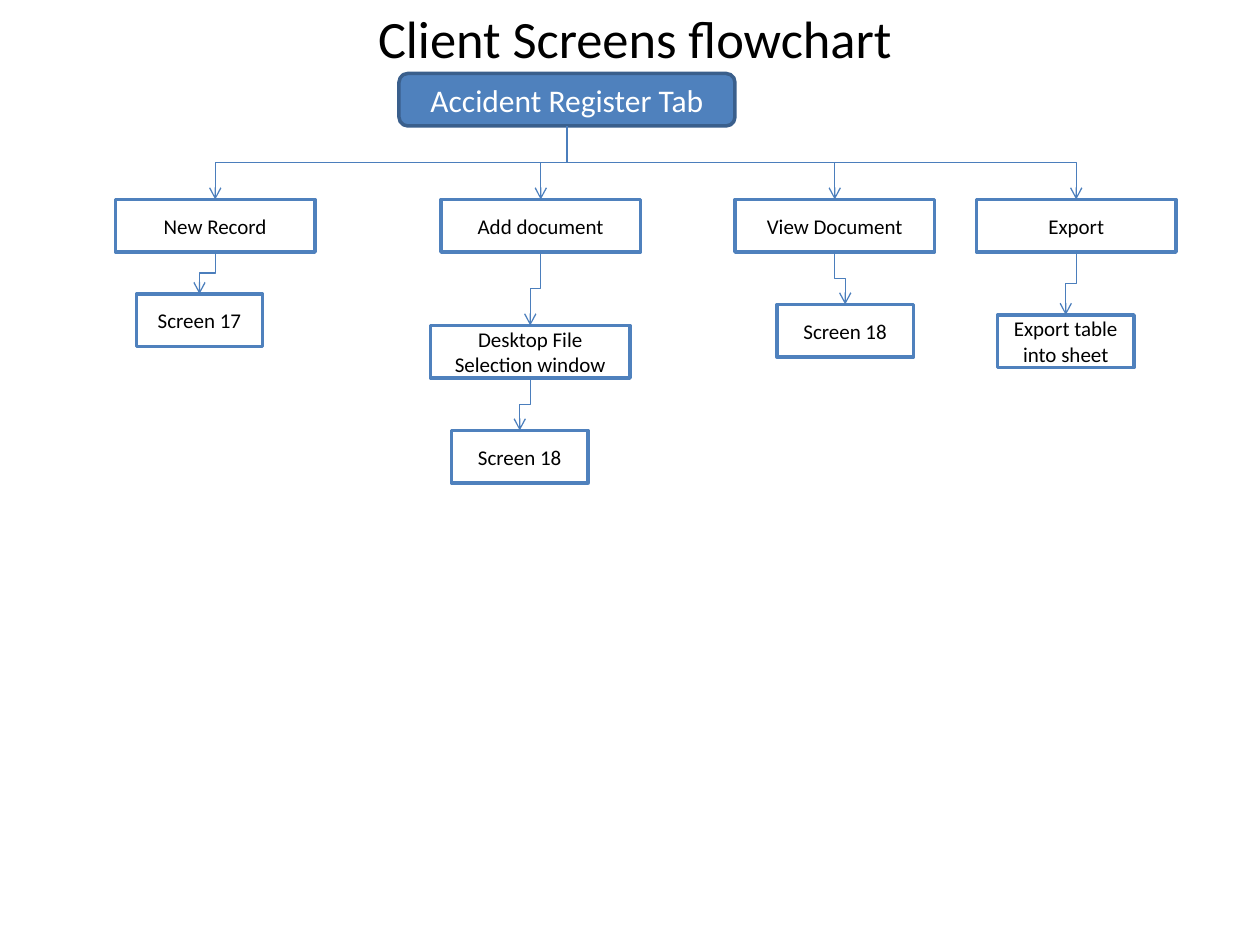
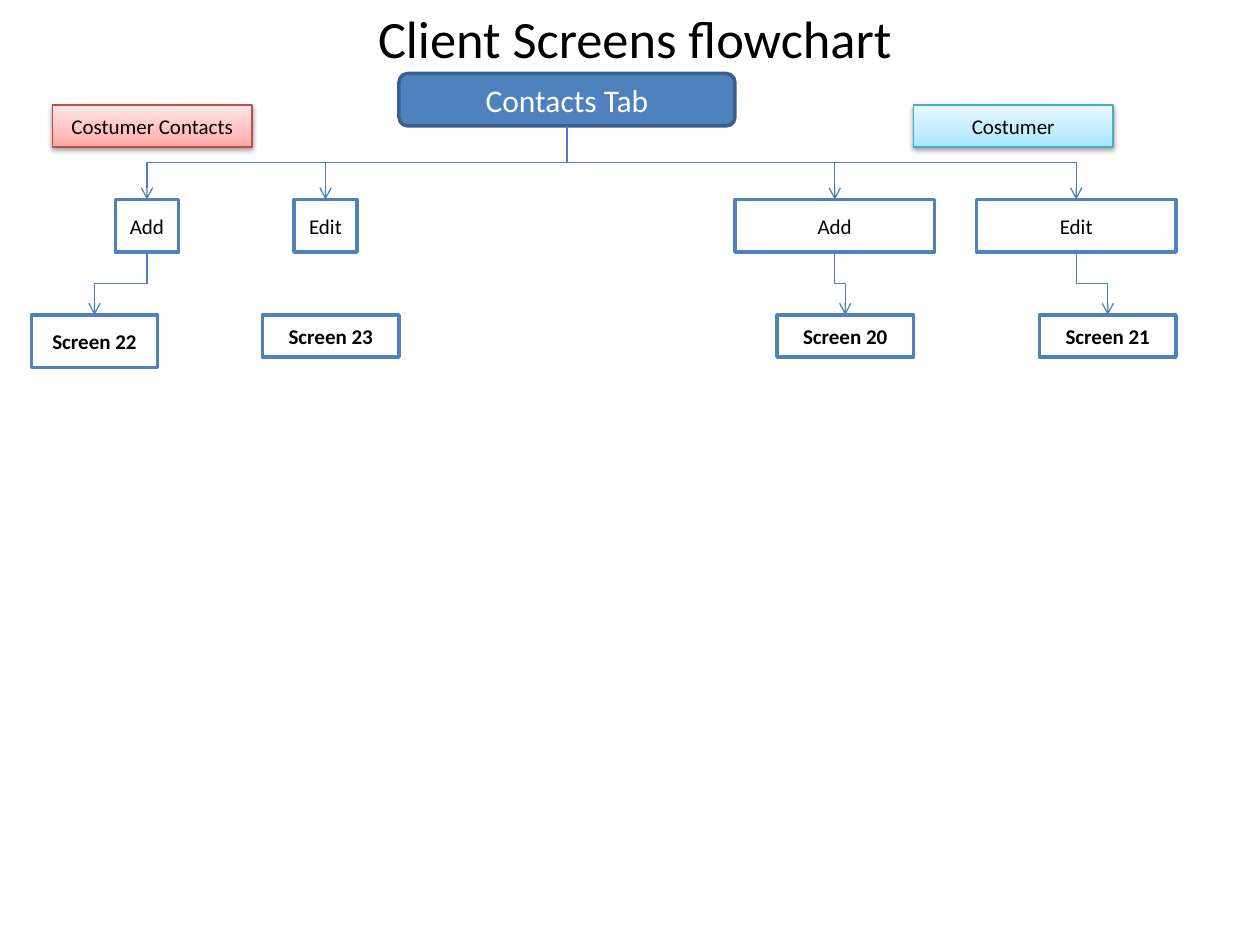
from copy import deepcopy

from lxml import etree
from pptx import Presentation
from pptx import util as u
from pptx.dml.color import RGBColor
from pptx.enum import shapes, text
from pptx.oxml.ns import qn

# Grid of 120 columns by 90 rows, twelve cells to the inch
CELL = u.Inches(10) / 120
FONT = "Calibri"
BLUE, DARK_BLUE, ARROW_BLUE = "4F81BD", "3A5F8C", "4B7EBC"
WHITE, BLACK = "FFFFFF", "000000"
BRANCH_ROW, BOX_ROWS = 19, 5

# Branch: label, column, width, steps
# Step: label, column, row, width, height, joined to the box above
charts = [
    {
        "tab": "Accident Register Tab",
        "bold_steps": False,
        "branches": [
            ("New Record", 11, 19, [("Screen 17", 13, 28, 12, 5, True)]),
            ("Add document", 42, 19, [
                ("Desktop File Selection window", 41, 31, 19, 5, True),
                ("Screen 18", 43, 41, 13, 5, True),
            ]),
            ("View Document", 70, 19, [("Screen 18", 74, 29, 13, 5, True)]),
            ("Export", 93, 19, [("Export table into sheet", 95, 30, 13, 5, True)]),
        ],
        "groups": [],
    },
    {
        "tab": "Contacts Tab",
        "bold_steps": True,
        "branches": [
            ("Add", 11, 6, [("Screen 22", 3, 30, 12, 5, True)]),
            ("Edit", 28, 6, [("Screen 23", 25, 30, 13, 4, False)]),
            ("Add", 70, 19, [("Screen 20", 74, 30, 13, 4, True)]),
            ("Edit", 93, 19, [("Screen 21", 99, 30, 13, 4, True)]),
        ],
        # Label, column, outline, gradient from bottom to top
        "groups": [
            ("Costumer Contacts", 5, "BF4C48", ("FFA6A5", "FFC0BF", "FFE7E7")),
            ("Costumer", 87, "46AAC5", ("A7E6FF", "C1EDFF", "E7F8FF")),
        ],
    },
]


def rgb(value):
    return RGBColor.from_string(value)


def add_box(slide, label, col, row, cols, rows, fill=WHITE, outline=BLUE, weight=2,
            ink=BLACK, size=12, bold=False, kind=shapes.MSO_SHAPE.FLOWCHART_PROCESS):
    box = slide.shapes.add_shape(kind, *(round(n * CELL) for n in (col, row, cols, rows)))
    box.shadow.inherit = False
    box.fill.solid()
    box.fill.fore_color.rgb = rgb(fill)
    box.line.color.rgb = rgb(outline)
    box.line.width = u.Pt(weight)
    box.text_frame.word_wrap = True
    box.text_frame.vertical_anchor = text.MSO_ANCHOR.MIDDLE
    paragraph = box.text_frame.paragraphs[0]
    paragraph.alignment = text.PP_ALIGN.CENTER
    run = paragraph.add_run()
    run.text = label
    run.font.name, run.font.size, run.font.bold = FONT, u.Pt(size), bold
    run.font.color.rgb = rgb(ink)
    return box


deck = Presentation()
deck.slide_width, deck.slide_height = u.Inches(10), u.Inches(7.5)

for chart in charts:
    slide = deck.slides.add_slide(deck.slide_layouts[5])

    # Title
    title = slide.shapes.title
    title.left, title.top = u.Inches(2.88), 0
    title.width, title.height = u.Inches(4.32), u.Inches(0.61)
    title.text_frame.word_wrap = False
    title.text_frame.auto_size = text.MSO_AUTO_SIZE.SHAPE_TO_FIT_TEXT
    title.text_frame.vertical_anchor = text.MSO_ANCHOR.TOP
    heading = title.text_frame.paragraphs[0]
    heading.alignment = text.PP_ALIGN.CENTER
    run = heading.add_run()
    run.text = "Client Screens flowchart"
    run.font.name, run.font.size = FONT, u.Pt(30)
    run.font.color.rgb = rgb(BLACK)

    # Tab, its branches and the screens they lead to
    tab = add_box(slide, chart["tab"], 38, 7, 32, BOX_ROWS, BLUE, DARK_BLUE,
                  ink=WHITE, size=18, kind=shapes.MSO_SHAPE.FLOWCHART_ALTERNATE_PROCESS)
    links = []
    for label, col, cols, steps in chart["branches"]:
        above = add_box(slide, label, col, BRANCH_ROW, cols, BOX_ROWS)
        links.append((tab, above))
        for step, *place, joined in steps:
            below = add_box(slide, step, *place, bold=chart["bold_steps"])
            if joined:
                links.append((above, below))
            above = below

    # Elbow arrows from bottom centre to top centre, turned to leave downwards
    for source, target in links:
        start_x, start_y = source.left + source.width // 2, source.top + source.height
        end_x, end_y = target.left + target.width // 2, target.top
        drop, shift = end_y - start_y, abs(end_x - start_x)
        arrow = slide.shapes.add_connector(shapes.MSO_CONNECTOR.ELBOW, 0, 0, drop, shift)
        arrow.begin_connect(source, 2)
        arrow.end_connect(target, 0)
        arrow.left = (start_x + end_x - drop) // 2
        arrow.top = (start_y + end_y - shift) // 2
        arrow.width, arrow.height = drop, shift
        to_right = end_x > start_x
        props = arrow._element.spPr
        frame = props.find(qn("a:xfrm"))
        frame.set("rot", str((270 if to_right else 90) * 60000))
        frame.set("flipH", str(int(to_right)))
        frame.set("flipV", "0")
        arrow.line.color.rgb = rgb(ARROW_BLUE)
        arrow.line.width = u.Pt(0.75)
        etree.SubElement(props.find(qn("a:ln")), qn("a:tailEnd"), type="arrow")
        etree.SubElement(props, qn("a:effectLst"))

    # Group labels with gradient and soft shadow
    for label, col, outline, shades in chart["groups"]:
        group = add_box(slide, label, col, 10, 19, 4, outline=outline, weight=0.75)
        group.fill.gradient()
        group.fill.gradient_angle = 90
        first = group.fill.gradient_stops[0]._gs
        first.addnext(deepcopy(first))
        for stop, position, shade in zip(group.fill.gradient_stops, (0, 0.35, 1), shades):
            stop.position = position
            stop.color.rgb = rgb(shade)
        effects = group._element.spPr.find(qn("a:effectLst"))
        shadow = etree.SubElement(effects, qn("a:outerShdw"), blurRad=str(u.Pt(3.1)),
                                  dist=str(u.Pt(1.6)), dir="5400000", rotWithShape="0")
        tone = etree.SubElement(shadow, qn("a:srgbClr"), val=BLACK)
        etree.SubElement(tone, qn("a:alpha"), val="38000")

deck.save("out.pptx")
